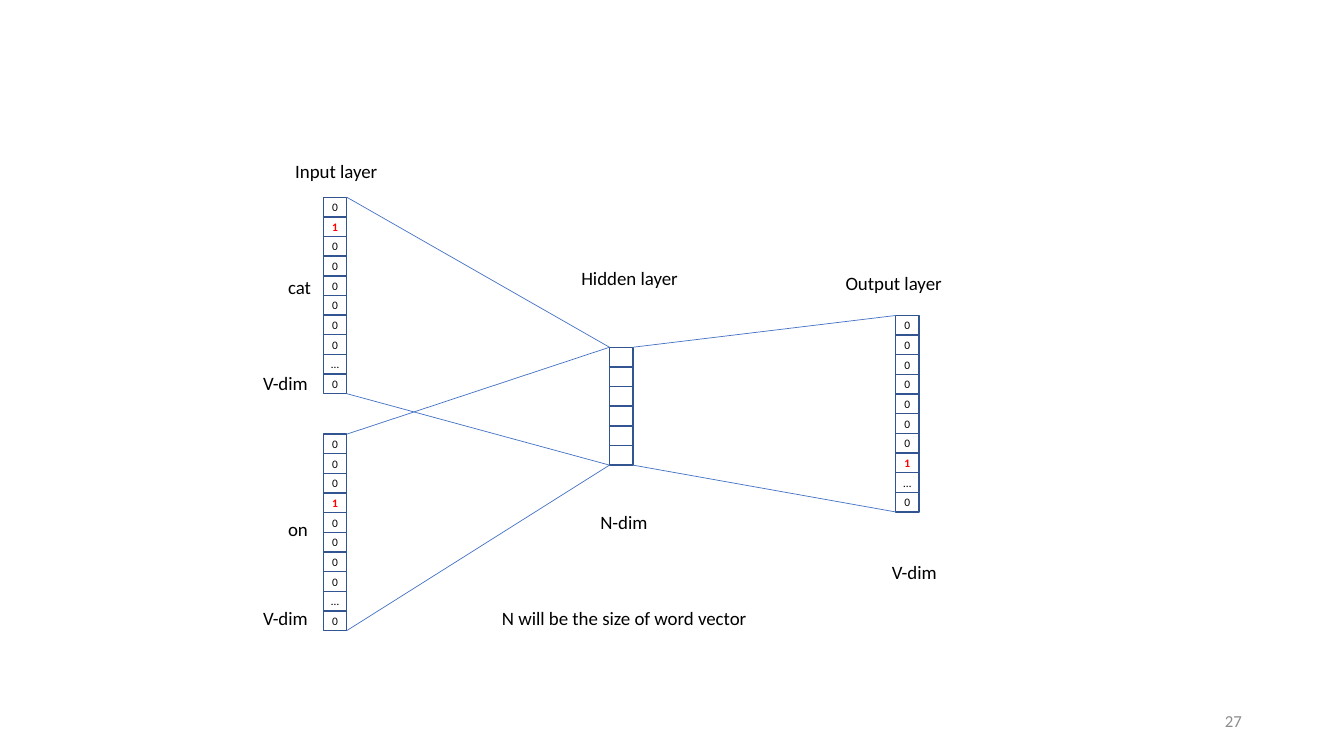
from lxml import etree
from pptx import Presentation
from pptx.dml.color import RGBColor
from pptx.enum.shapes import MSO_CONNECTOR as CONN, MSO_SHAPE as SHAPE
from pptx.enum.text import MSO_ANCHOR as ANCHOR, PP_ALIGN as ALIGN
from pptx.oxml.ns import qn
from pptx.util import Cm, Pt

CELL_W = Cm(0.59)
CELL_H = int(Cm(4.95) / 10)
LABEL_H = Cm(0.84)


def color(value):
    return RGBColor.from_string(value)


def write(tf, text, size, ink="000000", align=ALIGN.LEFT, bold=False):
    tf.text = text
    p = tf.paragraphs[0]
    p.alignment = align
    font = p.runs[0].font
    font.name, font.size, font.bold = "Calibri", Pt(size), bold
    font.color.rgb = color(ink)


def add_cell(group, left, top, value):
    sp = group.shapes.add_shape(SHAPE.RECTANGLE, left, top, CELL_W, CELL_H)
    sp.shadow.inherit = False
    sp.fill.background()
    sp.line.color.rgb = color("325491")
    sp.line.width = Pt(1)
    if value:
        tf = sp.text_frame
        tf.margin_left = tf.margin_right = tf.margin_top = tf.margin_bottom = 0
        tf.word_wrap = False
        tf.vertical_anchor = ANCHOR.MIDDLE
        hot = value == "1"
        write(tf, value, 8.2, "FF0000" if hot else "000000", ALIGN.CENTER, hot)


def add_layer(s, left, top, values, labels):
    left, top = Cm(left), Cm(top)
    group = s.shapes.add_group_shape()
    for i, value in enumerate(values):
        add_cell(group, left, top + i * CELL_H, value)
    for text, dx, dy, width in labels:
        box = s.shapes.add_textbox(left + Cm(dx), top + Cm(dy), Cm(width), LABEL_H)
        box.text_frame.word_wrap = False
        write(box.text_frame, text, 13.5)
    return left, top, top + len(values) * CELL_H


def add_links(s, source, target):
    left, *source_ends = source
    right, *target_ends = target
    for start, end in zip(source_ends, target_ends):
        line = s.shapes.add_connector(CONN.STRAIGHT, left + CELL_W, start, right, end)
        line.line.color.rgb = color("4472C4")
        line.line.width = Pt(0.5)
        etree.SubElement(line._element.spPr, qn("a:effectLst"))


def add_page_number(s, left, top, width, height):
    box = s.shapes.add_textbox(Cm(left), Cm(top), Cm(width), Cm(height))
    tf = box.text_frame
    tf.word_wrap = True
    tf.vertical_anchor = ANCHOR.MIDDLE
    write(tf, "27", 12, "8C8C8C", ALIGN.RIGHT)


def add_network(s):
    cat = add_layer(s, 8.15, 4.97, "01000000…0", [
        ("Input layer", -0.96, -1.06, 2.62),
        ("cat", -1.14, 1.84, 1.09),
        ("V-dim", -1.77, 4.28, 1.68),
    ])
    on = add_layer(s, 8.15, 10.94, "00010000…0", [
        ("on", -1.14, 1.99, 1.02),
        ("V-dim", -1.77, 4.22, 1.68),
    ])
    hidden = add_layer(s, 15.36, 8.75, [""] * 6, [
        ("Hidden layer", -0.96, -2.15, 3),
        ("N-dim", -0.48, 4, 1.73),
        ("N will be the size of word vector", -2.96, 6.41, 6.76),
    ])
    output = add_layer(s, 22.57, 7.95, "00000001…0", [
        ("Output layer", -1.51, -1.24, 2.97),
        ("V-dim", -0.34, 6.05, 1.68),
    ])
    for source, target in ((cat, hidden), (on, hidden), (hidden, output)):
        add_links(s, source, target)


def main():
    prs = Presentation()
    prs.slide_width, prs.slide_height = Cm(33.87), Cm(19.05)
    s = prs.slides.add_slide(prs.slide_layouts[6])
    add_network(s)
    add_page_number(s, 23.93, 17.65, 7.62, 1.02)
    prs.save("out.pptx")


if __name__ == "__main__":
    main()
